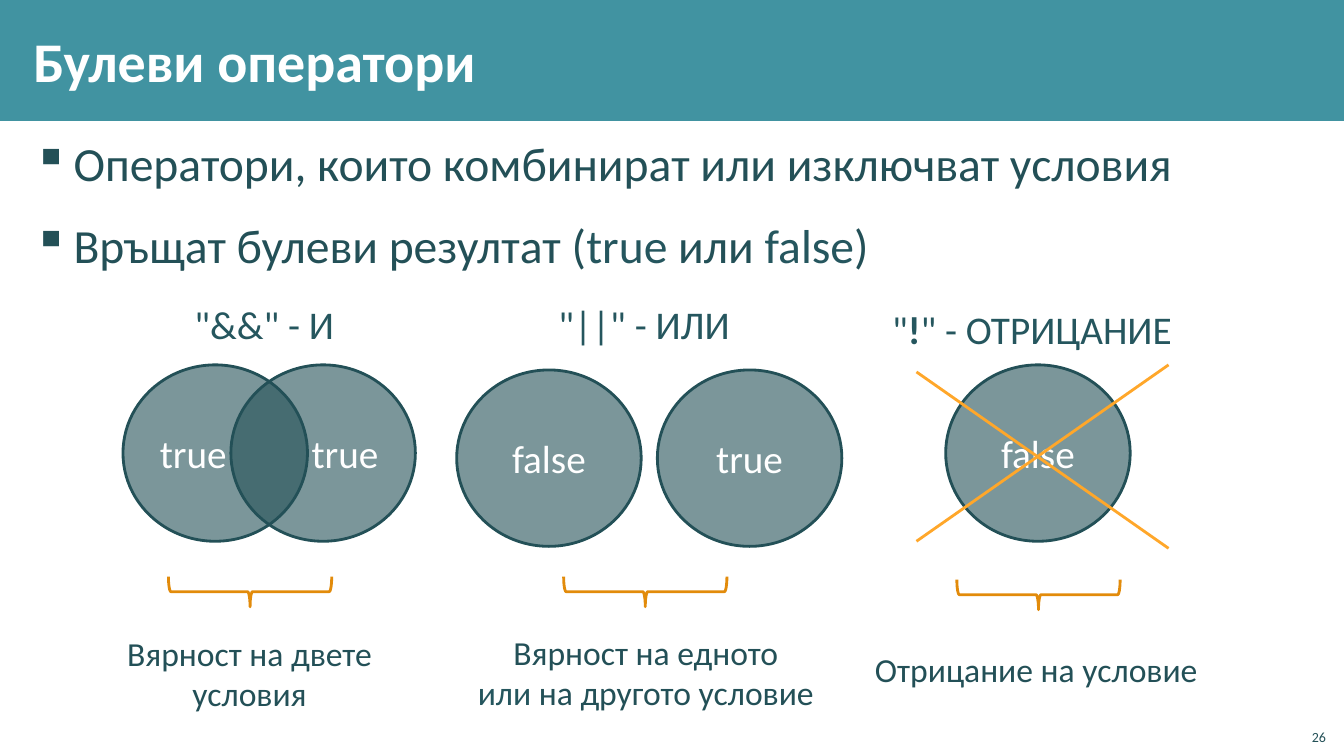
import pptx
import pptx.util
import pptx.dml.color
import pptx.enum.shapes
import pptx.enum.text
import pptx.oxml
import pptx.oxml.ns
from dataclasses import dataclass
from lxml import etree

Inches, Pt = pptx.util.Inches, pptx.util.Pt
SHAPE = pptx.enum.shapes.MSO_SHAPE
ALIGN = pptx.enum.text.PP_ALIGN
ANCHOR = pptx.enum.text.MSO_ANCHOR


@dataclass(frozen=True)
class Theme:
    font: str = "Calibri"
    band: str = "4193A1"
    dark: str = "235057"
    accent: str = "25565E"
    white: str = "FFFFFF"
    brace: str = "E28B0B"
    cross: str = "FFA72A"
    title: int = 40
    body: int = 34
    label: int = 28
    caption: int = 24
    number: int = 10


theme = Theme()

# Content: a line of text is a list of (words, colour, bold) runs
TITLE = "Булеви оператори"
BULLETS = [
    [("Оператори, които комбинират или изключват условия", theme.dark, False)],
    [("Връщат булеви резултат (", theme.dark, False), ("true", theme.accent, False),
     (" или ", theme.dark, False), ("false", theme.accent, False), (")", theme.dark, False)],
]
PAGE_NUMBER = "26"
# Boxes are left, top, width, height; circles are left, word, alignment
OPERATORS = [
    {"heading": [('"&&" - И', theme.accent, False)], "heading_box": (1.83, 2.93, 1.61, 0.57),
     "circles": [(1.22, "true", ALIGN.LEFT), (2.29, "true", ALIGN.RIGHT)], "circle_top": 3.62,
     "brace_center": (2.48, 5.87),
     "caption": [("Вярност на двете", theme.dark, False), "break", ("условия", theme.dark, False)],
     "caption_box": (1.15, 6.23, 2.65, 0.91), "align": ALIGN.CENTER, "wrap": False},
    {"heading": [('"||" - ИЛИ', theme.accent, False)], "heading_box": (5.44, 2.93, 1.92, 0.57),
     "circles": [(4.53, "false", ALIGN.CENTER), (6.52, "true", ALIGN.CENTER)], "circle_top": 3.67,
     "brace_center": (6.4, 5.87),
     "caption": [("Вярност на едното", theme.dark, False), "break",
                 ("или", theme.accent, False), (" на другото условие", theme.dark, False)],
     "caption_box": (4.46, 6.22, 3.89, 0.91), "align": ALIGN.CENTER, "wrap": True},
    {"heading": [('"', theme.accent, False), ("!", theme.accent, True),
                 ('" - ОТРИЦАНИЕ', theme.accent, False)], "heading_box": (8.75, 2.98, 3.1, 0.57),
     "circles": [(9.38, "false", ALIGN.CENTER)], "circle_top": 3.62,
     "brace_center": (10.3, 5.9),
     "caption": [("Отрицание на условие", theme.dark, False)],
     "caption_box": (8.58, 6.39, 3.44, 0.5), "align": ALIGN.LEFT, "wrap": False},
]
CIRCLE_SIZE = (1.83, 1.75)
BRACE_SIZE = (0.3, 1.62)
CROSS_RIGHT, CROSS_LEFT = 11.59, 9.09
CROSS_HEIGHTS = [(3.62, 5.37), (5.44, 3.69)]

presentation = pptx.Presentation()
presentation.slide_width, presentation.slide_height = Inches(13.33), Inches(7.5)
slide = presentation.slides.add_slide(presentation.slide_layouts[6])


def color(value):
    return pptx.dml.color.RGBColor.from_string(value)


def write(paragraph, runs, size, align=ALIGN.LEFT):
    paragraph.alignment = align
    for item in runs:
        if item == "break":
            paragraph.add_line_break()
            continue
        run = paragraph.add_run()
        run.text, run_color, run.font.bold = item
        run.font.name, run.font.size = theme.font, Pt(size)
        run.font.color.rgb = color(run_color)


def add_text(box, lines, size, align=ALIGN.LEFT, wrap=True, anchor=ANCHOR.TOP, insets=(0.1, 0.05)):
    frame = slide.shapes.add_textbox(*map(Inches, box)).text_frame
    frame.word_wrap, frame.vertical_anchor = wrap, anchor
    frame.margin_left = frame.margin_right = Inches(insets[0])
    frame.margin_top = frame.margin_bottom = Inches(insets[1])
    for index, runs in enumerate(lines):
        paragraph = frame.add_paragraph() if index else frame.paragraphs[0]
        write(paragraph, runs, size, align)
    return frame


def add_shape(kind, box, fill=None, line=None, alpha=None):
    shape = slide.shapes.add_shape(kind, *map(Inches, box))
    shape.shadow.inherit = False
    if fill:
        shape.fill.solid()
        shape.fill.fore_color.rgb = color(fill)
    else:
        shape.fill.background()
    if alpha:
        tint = shape.fill._xPr.find(".//" + pptx.oxml.ns.qn("a:srgbClr"))
        etree.SubElement(tint, pptx.oxml.ns.qn("a:alpha"), val=str(alpha * 1000))
    if line:
        shape.line.color.rgb, shape.line.width = color(line), Pt(2)
    else:
        shape.line.fill.background()
    return shape


def add_circle(left, top, word, align):
    circle = add_shape(SHAPE.OVAL, (left, top, *CIRCLE_SIZE), theme.dark, theme.dark, alpha=60)
    circle.text_frame.vertical_anchor = ANCHOR.MIDDLE
    write(circle.text_frame.paragraphs[0], [(word, theme.white, False)], theme.label, align)


def add_brace(center_x, center_y):
    width, height = BRACE_SIZE
    box = (center_x - width / 2, center_y - height / 2, width, height)
    add_shape(SHAPE.RIGHT_BRACE, box, line=theme.brace).rotation = 90


def add_line(start, end):
    line = slide.shapes.add_connector(pptx.enum.shapes.MSO_CONNECTOR.STRAIGHT,
                                      *map(Inches, start + end))
    line.line.color.rgb, line.line.width = color(theme.cross), Pt(2)
    etree.SubElement(line._element.spPr, pptx.oxml.ns.qn("a:effectLst"))


# Title band
add_shape(SHAPE.RECTANGLE, (0, 0, 13.33, 1.2), theme.band)
add_text((0.21, 0.11, 10.71, 0.97), [[(TITLE, theme.white, True)]], theme.title,
         anchor=ANCHOR.MIDDLE, insets=(0.12, 0.04))

# Bullets
body = add_text((0.21, 1.2, 12.91, 1.7), BULLETS, theme.body, insets=(0.12, 0.04))
for index, paragraph in enumerate(body.paragraphs):
    properties = paragraph._p.get_or_add_pPr()
    properties.set("marL", str(Inches(0.4)))
    properties.set("indent", str(-Inches(0.4)))
    etree.SubElement(properties, pptx.oxml.ns.qn("a:buChar"), char="▪")
    paragraph.line_spacing = 1.15
    paragraph.space_before = Pt(6 if index else 0)
    paragraph.space_after = Pt(6)

# Operators: heading, circles, brace, caption
for operator in OPERATORS:
    add_text(operator["heading_box"], [operator["heading"]], theme.label, wrap=False)
    for left, word, align in operator["circles"]:
        add_circle(left, operator["circle_top"], word, align)
    add_brace(*operator["brace_center"])
    add_text(operator["caption_box"], [operator["caption"]], theme.caption,
             operator["align"], operator["wrap"])

# Cross over the negated value
for start_y, end_y in CROSS_HEIGHTS:
    add_line((CROSS_RIGHT, start_y), (CROSS_LEFT, end_y))

# Page number
add_text((12.85, 7.12, 0.4, 0.32), [[(PAGE_NUMBER, theme.dark, False)]], theme.number,
         ALIGN.RIGHT, anchor=ANCHOR.BOTTOM)

presentation.save("out.pptx")
